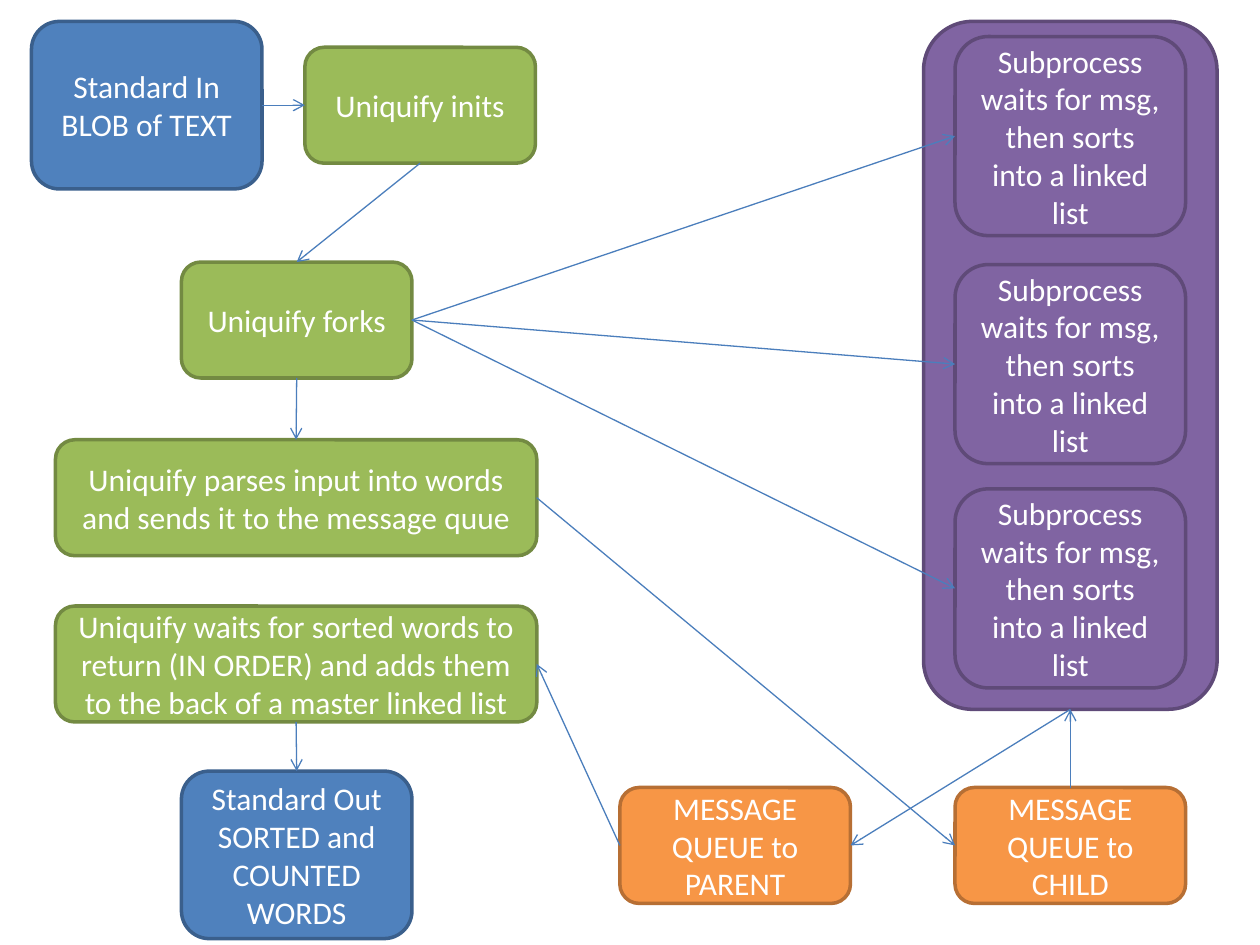
from lxml.etree import SubElement
from pptx import Presentation
from pptx.dml.color import RGBColor as RGB
from pptx.enum.shapes import MSO_CONNECTOR as CONN, MSO_SHAPE as SHAPE
from pptx.enum.text import MSO_ANCHOR as ANCHOR, PP_ALIGN as ALIGN
from pptx.oxml.ns import qn
from pptx.util import Inches, Pt

THEME = {
    "font": "Calibri", "size": 18, "text": "FFFFFF",
    "border": 2, "arrow": "4B7EBC", "arrow_width": 0.75,
    "io": ("4F81BD", "3A5F8C"),
    "parent": ("9BBB59", "738A42"),
    "child": ("8064A2", "5F4A78"),
    "queue": ("F79646", "B76F34"),
}
TOP, LEFT, BOTTOM, RIGHT = range(4)

# Columns, box widths and box heights of the layout, in inches
COL = {"input": 0.25, "wide": 0.44, "main": 1.44, "init": 2.42,
       "queue": 4.92, "panel": 7.33, "child": 7.58}
NARROW, PANEL, WIDE = 1.83, 2.33, 3.82
LOW, MID, HIGH, FULL = 0.92, 1.33, 1.58, 5.46

prs = Presentation()
prs.slide_width, prs.slide_height = Inches(10), Inches(7.5)
s = prs.slides.add_slide(prs.slide_layouts[6])


def add_box(text, kind, col, top, width, height):
    """Add a rounded box in a theme colour pair with centred text."""
    sp = s.shapes.add_shape(SHAPE.ROUNDED_RECTANGLE,
                            *map(Inches, (COL[col], top, width, height)))
    fill, border = THEME[kind]
    sp.shadow.inherit = False
    sp.fill.solid()
    sp.fill.fore_color.rgb = RGB.from_string(fill)
    sp.line.color.rgb = RGB.from_string(border)
    sp.line.width = Pt(THEME["border"])
    if text:
        tf = sp.text_frame
        tf.word_wrap, tf.vertical_anchor = True, ANCHOR.MIDDLE
        p = tf.paragraphs[0]
        p.alignment = ALIGN.CENTER
        r = p.add_run()
        r.text = text
        font_format = {"name": THEME["font"], "size": Pt(THEME["size"])}
        for name, value in font_format.items():
            setattr(r.font, name, value)
        r.font.color.rgb = RGB.from_string(THEME["text"])
    return sp


def add_arrow(start, start_side, end, end_side):
    """Glue an open-headed arrow between the sides of two boxes."""
    line = s.shapes.add_connector(CONN.STRAIGHT, 0, 0, 0, 0)
    line.begin_connect(start, start_side)
    line.end_connect(end, end_side)
    line.line.color.rgb = RGB.from_string(THEME["arrow"])
    line.line.width = Pt(THEME["arrow_width"])
    SubElement(line.line._get_or_add_ln(), qn("a:tailEnd"), type="arrow")
    SubElement(line._element.spPr, qn("a:effectLst"))


BOXES = {
    "panel": ("", "child", "panel", 0.17, PANEL, FULL),
    "input": ("Standard In BLOB of TEXT", "io", "input", 0.17, NARROW, MID),
    "init": ("Uniquify inits", "parent", "init", 0.375, NARROW, LOW),
    "fork": ("Uniquify forks", "parent", "main", 2.08, NARROW, LOW),
    "parse": ("Uniquify parses input into words and sends it to the "
              "message quue", "parent", "wide", 3.49, WIDE, LOW),
    "wait": ("Uniquify waits for sorted words to return (IN ORDER) and adds "
             "them to the back of a master linked list",
             "parent", "wide", 4.81, WIDE, LOW),
    "output": ("Standard Out SORTED and COUNTED WORDS",
               "io", "main", 6.12, NARROW, MID),
    "to_parent": ("MESSAGE QUEUE to PARENT", "queue", "queue", 6.25, NARROW, LOW),
    "to_child": ("MESSAGE QUEUE to CHILD", "queue", "child", 6.25, NARROW, LOW),
}
for number, top in enumerate((0.29, 2.1, 3.88)):
    BOXES[f"sub{number}"] = (
        "Subprocess waits for msg, then sorts into a linked list",
        "child", "child", top, NARROW, HIGH)
box = {name: add_box(*values) for name, values in BOXES.items()}

ARROWS = [
    ("input", RIGHT, "init", LEFT),
    ("init", BOTTOM, "fork", TOP),
    *[("fork", RIGHT, f"sub{number}", LEFT) for number in range(3)],
    ("fork", BOTTOM, "parse", TOP),
    ("parse", RIGHT, "to_child", LEFT),
    ("to_child", TOP, "panel", BOTTOM),
    ("panel", BOTTOM, "to_parent", RIGHT),
    ("to_parent", LEFT, "wait", RIGHT),
    ("wait", BOTTOM, "output", TOP),
]
for start, start_side, end, end_side in ARROWS:
    add_arrow(box[start], start_side, box[end], end_side)

prs.save("out.pptx")
